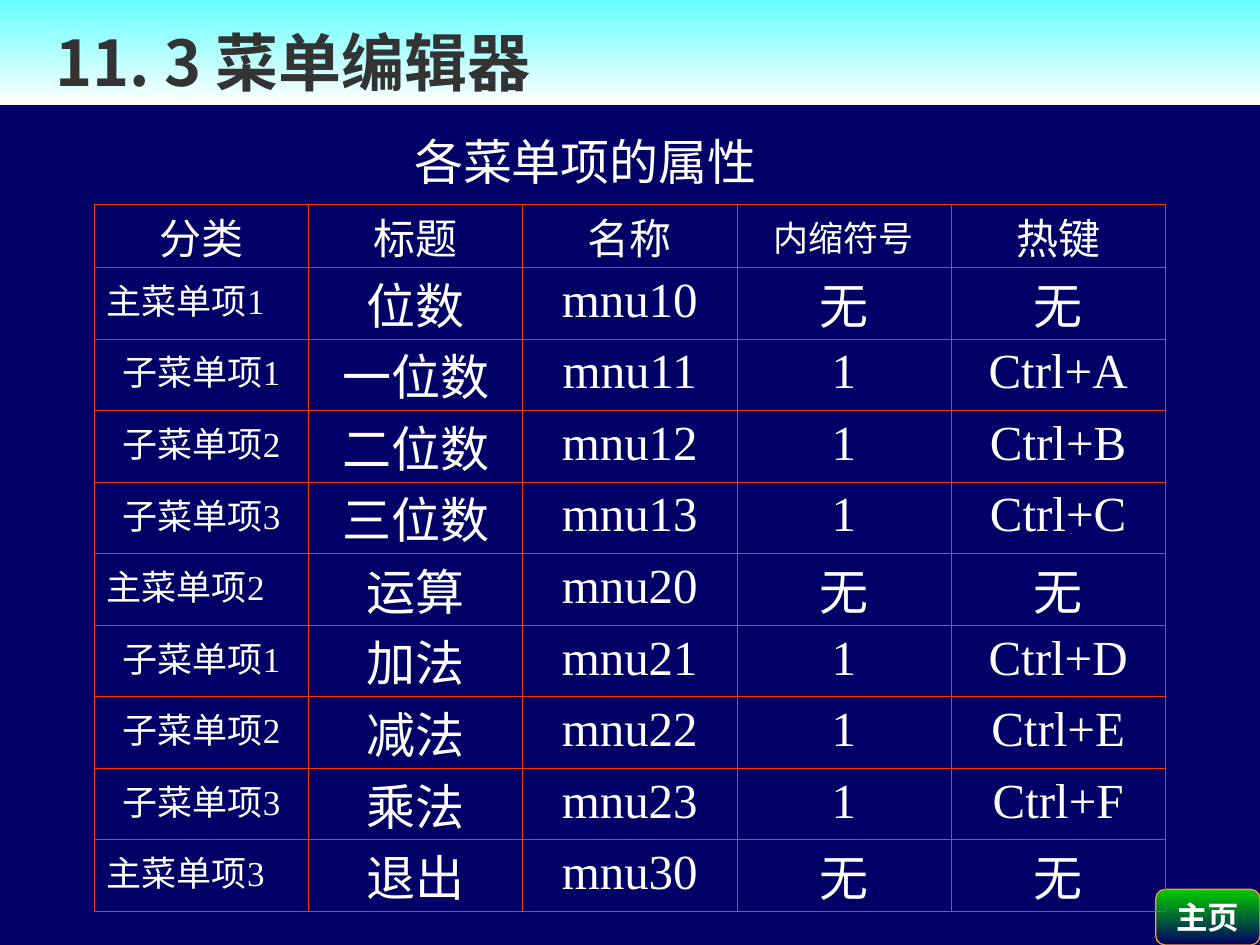
import pptx
import pptx.dml.color
import pptx.enum.shapes
import pptx.enum.text
import pptx.oxml
import pptx.oxml.ns
import pptx.util
from lxml import etree

Cm = pptx.util.Cm
Pt = pptx.util.Pt
Align = pptx.enum.text.PP_ALIGN
Anchor = pptx.enum.text.MSO_ANCHOR
Shape = pptx.enum.shapes.MSO_SHAPE

COLORS = {
    "navy": "000066",
    "green": "00CC00",
    "orange": "FF9933",
    "cyan": "66FFFF",
    "white": "FFFFFF",
    "title": "333333",
    "grid": "FF3300",
}
BODY_FONT = "Times New Roman"
# Line heights that keep large Chinese text within its table row, by font size.
LINE_HEIGHTS = {24: 32, 28: 37}
HEADERS = ["分类", "标题", "名称", "内缩符号", "热键"]
# Each main menu: caption, then its submenu captions.
MENUS = [
    ("位数", ["一位数", "二位数", "三位数"]),
    ("运算", ["加法", "减法", "乘法"]),
    ("退出", []),
]


def color(name):
    return pptx.dml.color.RGBColor.from_string(COLORS[name])


def menu_rows():
    """List the table rows, lettering the hot keys in order."""
    letters = iter("ABCDEF")
    rows = []
    for number, (caption, submenus) in enumerate(MENUS, 1):
        rows.append([f"主菜单项{number}", caption, f"mnu{number}0", "无", "无"])
        for index, submenu in enumerate(submenus, 1):
            rows.append([f"子菜单项{index}", submenu, f"mnu{number}{index}",
                         "1", f"Ctrl+{next(letters)}"])
    return rows


class SlideBuilder:
    def __init__(self, deck):
        self.slide = deck.slides.add_slide(deck.slide_layouts[6])
        fill = self.slide.background.fill
        fill.solid()
        fill.fore_color.rgb = color("navy")

    def style(self, para, size, ink="white", bold=False, align=Align.LEFT):
        para.alignment = align
        para.font.size = Pt(size)
        para.font.bold = bold
        para.font.name = BODY_FONT
        para.font.color.rgb = color(ink)

    def panel(self, kind, left, top, width, height, stops, outline=None):
        """Add a shape shaded from the first colour at the top to the second."""
        shape = self.slide.shapes.add_shape(
            kind, Cm(left), Cm(top), Cm(width), Cm(height))
        shape.shadow.inherit = False
        shape.fill.gradient()
        shape.fill.gradient_angle = 270
        for stop, name in zip(shape.fill.gradient_stops, stops):
            stop.color.rgb = color(name)
        if outline:
            shape.line.color.rgb = color(outline)
            shape.line.width = Pt(0.75)
        else:
            shape.line.fill.background()
        return shape

    def button(self, text, *place):
        frame = self.panel(Shape.ROUNDED_RECTANGLE, *place,
                           ("green", "navy"), "orange").text_frame
        frame.word_wrap = False
        frame.vertical_anchor = Anchor.MIDDLE
        frame.text = text
        self.style(frame.paragraphs[0], 18, bold=True, align=Align.CENTER)

    def title_band(self, pieces, *place):
        """Add the title; pieces pairs each text with its font."""
        frame = self.panel(Shape.RECTANGLE, *place, ("cyan", "white")).text_frame
        frame.word_wrap = True
        frame.vertical_anchor = Anchor.BOTTOM
        frame.margin_left = Cm(1.11)
        para = frame.paragraphs[0]
        self.style(para, 36, "title", bold=True)
        for text, font in pieces:
            span = para.add_run()
            span.text = text
            span.font.name = font
            east_asian = etree.SubElement(span._r.rPr, pptx.oxml.ns.qn("a:ea"))
            east_asian.set("typeface", font)

    def caption(self, text, left, top, width, height):
        box = self.slide.shapes.add_textbox(
            Cm(left), Cm(top), Cm(width), Cm(height))
        frame = box.text_frame
        frame.word_wrap = True
        frame.text = text
        self.style(frame.paragraphs[0], 28)

    def borders(self, cell):
        properties = cell._tc.get_or_add_tcPr()
        for side in ("lnL", "lnR", "lnT", "lnB"):
            properties.append(pptx.oxml.parse_xml(
                f'<a:{side} {pptx.oxml.ns.nsdecls("a")} w="{Pt(0.45)}"><a:solidFill>'
                f'<a:srgbClr val="{COLORS["grid"]}"/></a:solidFill></a:{side}>'))

    def cell(self, cell, text, size, align):
        self.borders(cell)
        cell.fill.background()
        cell.margin_bottom = 0
        if text.startswith("子"):
            cell.margin_left = Cm(0.57)
        cell.text = text
        para = cell.text_frame.paragraphs[0]
        if size in LINE_HEIGHTS and not text.isascii():
            para.line_spacing = Pt(LINE_HEIGHTS[size])
        self.style(para, size, align=align)

    def table(self, rows, left, top, width, height, header_height):
        table = self.slide.shapes.add_table(
            len(rows), len(rows[0]), Cm(left), Cm(top), Cm(width), Cm(height)).table
        table.first_row = table.horz_banding = False
        row_height = (height - header_height) / (len(rows) - 1)
        for r, texts in enumerate(rows):
            table.rows[r].height = Cm(row_height if r else header_height)
            for c, text in enumerate(texts):
                if r == 0:
                    size = 20 if len(text) > 2 else 24
                else:
                    size = 28 if c else 20
                align = Align.LEFT if r and c == 0 else Align.CENTER
                self.cell(table.cell(r, c), text, size, align)


def main():
    deck = pptx.Presentation()
    deck.slide_width, deck.slide_height = Cm(25.4), Cm(19.05)
    builder = SlideBuilder(deck)
    builder.button("主页", 23.3, 17.93, 2.1, 1.12)
    builder.title_band([("11. 3 ", "Noto Sans CJK JP"),
                        ("菜单编辑器", "Noto Sans CJK SC")], 0, 0, 25.4, 2.12)
    builder.table([HEADERS] + menu_rows(), 1.9, 4.12, 21.59, 14.25, 1.27)
    builder.caption("各菜单项的属性", 8.1, 2.53, 8.6, 1.45)
    deck.save("out.pptx")


if __name__ == "__main__":
    main()
